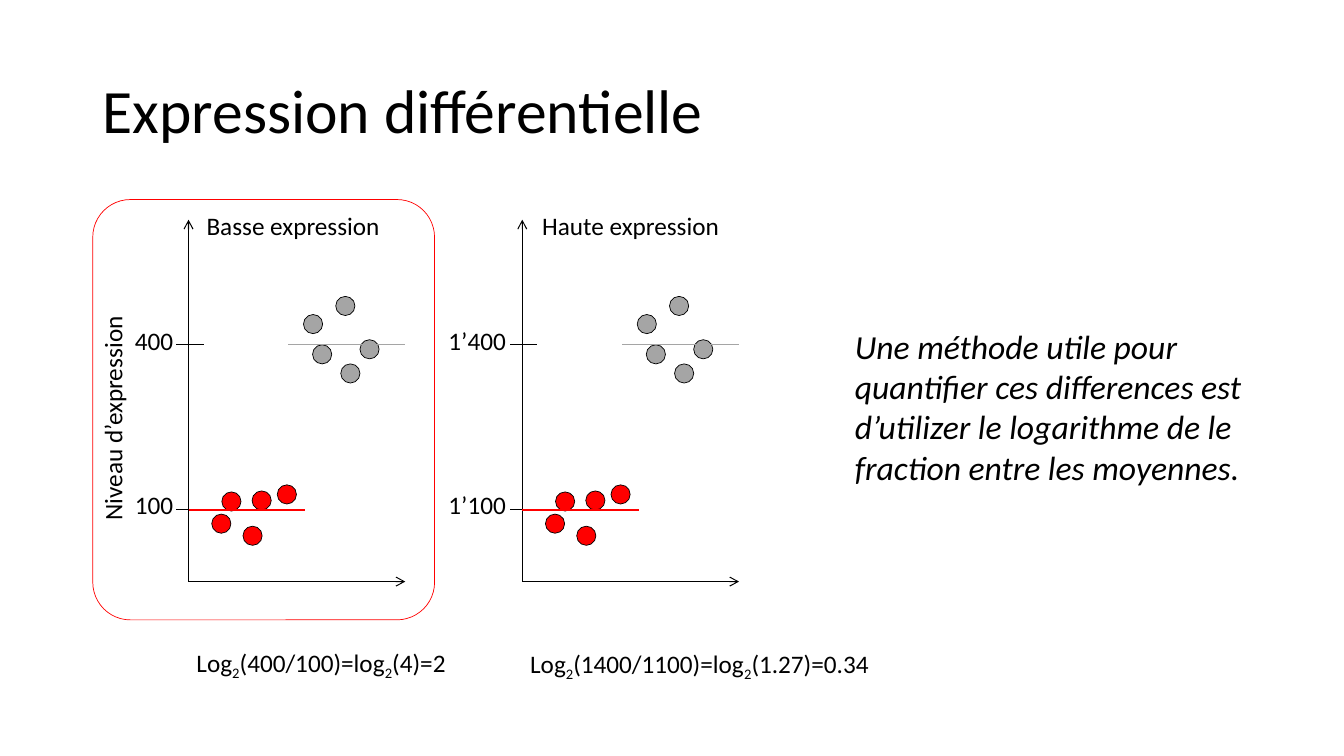
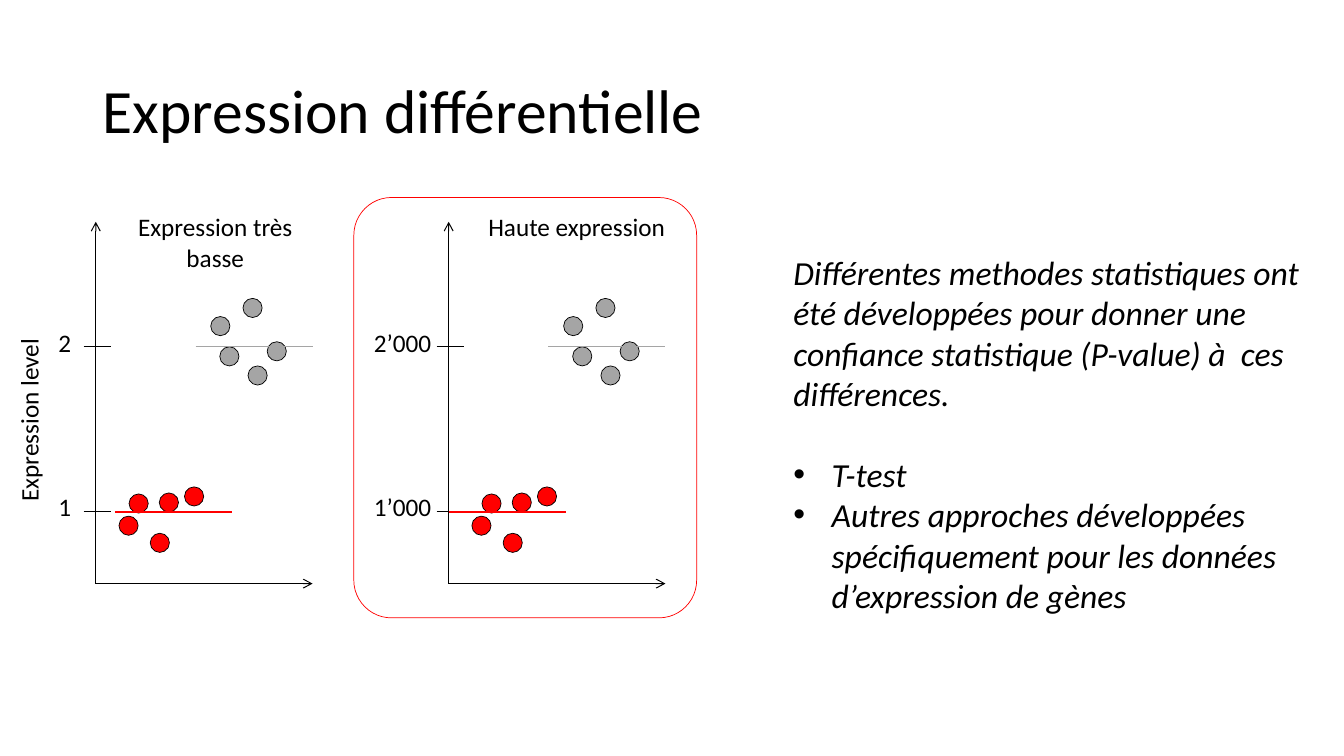
from dataclasses import dataclass

from lxml import etree
from pptx import Presentation
from pptx.dml.color import RGBColor
from pptx.enum.shapes import MSO_CONNECTOR, MSO_SHAPE
from pptx.enum.text import MSO_ANCHOR, MSO_AUTO_SIZE, PP_ALIGN
from pptx.oxml.ns import qn
from pptx.shapes.autoshape import Shape
from pptx.slide import Slide
from pptx.text.text import _Paragraph
from pptx.util import Inches, Pt

STRAIGHT = MSO_CONNECTOR.STRAIGHT
ELLIPSE = MSO_SHAPE.OVAL
ROUNDED = MSO_SHAPE.ROUNDED_RECTANGLE
MIDDLE = MSO_ANCHOR.MIDDLE
FIT_SHAPE = MSO_AUTO_SIZE.SHAPE_TO_FIT_TEXT
LEFT, CENTER = PP_ALIGN.LEFT, PP_ALIGN.CENTER

COLORS = {"text": "000000", "low": "FF0000", "high": "A5A5A5"}
TITLE_FORMAT = {"name": "Calibri", "size": Pt(44)}
LABEL_FORMAT = {"name": "Calibri", "size": Pt(18)}
BODY_FORMAT = {"name": "Calibri", "size": Pt(24), "italic": True}

TITLE = "Expression différentielle"
AXIS_WIDTH, AXIS_HEIGHT = 2.15, 3.59
LINE_HEIGHT = 0.4
DOT_SIZE = 0.19
MEAN_LENGTH = 1.16
HIGH_LEVEL, LOW_LEVEL, LOW_MEAN = 2.35, 0.72, 0.71
LOW_DOTS = [(0.23, 0.67), (0.33, 0.89), (0.63, 0.9), (0.88, 0.96)]
LOWEST_DOT_X = 0.54
HIGH_DOTS = [(1.14, 2.65), (1.23, 2.35), (1.46, 2.83), (1.51, 2.16), (1.7, 2.4)]


@dataclass(frozen=True)
class Box:
    left: float
    top: float
    width: float
    height: float = LINE_HEIGHT


@dataclass(frozen=True)
class Plot:
    left: float
    caption: str
    caption_box: Box
    high_label: str
    low_label: str
    label_left: float
    low_mean_shift: float = 0


@dataclass(frozen=True)
class Formula:
    pieces: tuple[str, ...]
    box: Box


@dataclass(frozen=True)
class Comparison:
    bottom: float
    lowest_dot: float
    axis_title: str
    axis_title_box: Box
    plots: tuple[Plot, ...]
    frame: Box
    message: str
    message_box: Box
    bullets: tuple[str, ...] = ()
    formulas: tuple[Formula, ...] = ()


COMPARISONS = [
    Comparison(
        bottom=5.77,
        lowest_dot=0.55,
        axis_title="Niveau d’expression",
        axis_title_box=Box(-0.07, 3.95, 2.37),
        plots=(
            Plot(1.87, "Basse expression", Box(1.95, 2.04, 2.35), "400", "100", 1.24),
            Plot(5.18, "Haute expression", Box(5.28, 2.04, 2.53), "1’400", "1’100", 4.35),
        ),
        frame=Box(0.92, 1.98, 3.39, 4.17),
        message="Une méthode utile pour quantifier ces differences est "
        "d’utilizer le logarithme de le fraction entre les moyennes.",
        message_box=Box(8.38, 3.18, 4.67, 1.72),
        formulas=(
            Formula(("Log", "2", "(400/100)=log", "2", "(4)=2"), Box(1.85, 6.37, 2.89)),
            Formula(("Log", "2", "(1400/1100)=log", "2", "(1.27)=0.34"), Box(5.16, 6.38, 3.92)),
        ),
    ),
    Comparison(
        bottom=5.79,
        lowest_dot=0.5,
        axis_title="Expression level",
        axis_title_box=Box(-0.9, 3.97, 2.37),
        plots=(
            Plot(0.95, "Expression très basse", Box(1.18, 2.05, 1.91, 0.71), "2", "1", 0.48, 0.19),
            Plot(4.45, "Haute expression", Box(4.67, 2.05, 2.1), "2’000", "1’000", 3.61),
        ),
        frame=Box(3.51, 1.96, 3.4, 4.17),
        message="Différentes methodes statistiques ont été développées pour donner "
        "une confiance statistique (P-value) à  ces différences.",
        message_box=Box(7.77, 2.45, 5.28, 3.74),
        bullets=(
            "T-test",
            "Autres approches développées spécifiquement pour les données d’expression de gènes",
        ),
    ),
]


def color(name: str) -> RGBColor:
    return RGBColor.from_string(COLORS[name])


def add_run(paragraph: _Paragraph, text: str, font_format: dict, subscript: bool = False) -> None:
    run = paragraph.add_run()
    run.text = text
    for attribute, value in font_format.items():
        setattr(run.font, attribute, value)
    run.font.color.rgb = color("text")
    if subscript:
        run.font._element.set("baseline", "-25000")


def add_text(slide: Slide, box: Box, text: str, font_format: dict, alignment: PP_ALIGN = LEFT) -> Shape:
    shape = slide.shapes.add_textbox(Inches(box.left), Inches(box.top), Inches(box.width), Inches(box.height))
    shape.text_frame.word_wrap = True
    shape.text_frame.auto_size = FIT_SHAPE
    paragraph = shape.text_frame.paragraphs[0]
    paragraph.alignment = alignment
    if text:
        add_run(paragraph, text, font_format)
    return shape


def add_line(slide: Slide, start: tuple[float, float], end: tuple[float, float],
             color_name: str = "text", width: float = 0.75, arrow: bool = False) -> None:
    connector = slide.shapes.add_connector(STRAIGHT, *(Inches(value) for value in start + end))
    connector.line.color.rgb = color(color_name)
    connector.line.width = Pt(width)
    if arrow:
        etree.SubElement(connector.line._get_or_add_ln(), qn("a:tailEnd"), type="arrow")
    etree.SubElement(connector._element.spPr, qn("a:effectLst"))


def add_outline(slide: Slide, kind: MSO_SHAPE, box: Box, line_color: str) -> Shape:
    shape = slide.shapes.add_shape(kind, Inches(box.left), Inches(box.top), Inches(box.width), Inches(box.height))
    shape.shadow.inherit = False
    shape.fill.background()
    shape.line.color.rgb = color(line_color)
    shape.line.width = Pt(0.5)
    return shape


def add_dots(slide: Slide, left: float, bottom: float, dots: list[tuple[float, float]], color_name: str) -> None:
    for across, up in dots:
        dot = add_outline(slide, ELLIPSE, Box(left + across, bottom - up, DOT_SIZE, DOT_SIZE), "text")
        dot.fill.solid()
        dot.fill.fore_color.rgb = color(color_name)


def add_plot(slide: Slide, plot: Plot, bottom: float, lowest_dot: float) -> None:
    left, right = plot.left, plot.left + AXIS_WIDTH
    for end in ((left, bottom - AXIS_HEIGHT), (right, bottom)):
        add_line(slide, (left, bottom), end, arrow=True)
    add_dots(slide, left, bottom, LOW_DOTS + [(LOWEST_DOT_X, lowest_dot)], "low")
    add_dots(slide, left, bottom, HIGH_DOTS, "high")
    for label, level in ((plot.high_label, HIGH_LEVEL), (plot.low_label, LOW_LEVEL)):
        height = bottom - level
        add_line(slide, (left - 0.12, height), (left + 0.15, height))
        add_text(slide, Box(plot.label_left, height - 0.24, 1), label, LABEL_FORMAT)
    means = (
        (right - MEAN_LENGTH, HIGH_LEVEL, "high"),
        (left + plot.low_mean_shift, LOW_MEAN, "low"),
    )
    for start, level, color_name in means:
        height = bottom - level
        add_line(slide, (start, height), (start + MEAN_LENGTH, height), color_name, 1)
    caption_alignment = CENTER if plot.caption_box.top > 2.04 else LEFT
    add_text(slide, plot.caption_box, plot.caption, LABEL_FORMAT, caption_alignment)


def add_formula(slide: Slide, formula: Formula) -> None:
    paragraph = add_text(slide, formula.box, "", LABEL_FORMAT).text_frame.paragraphs[0]
    for index, piece in enumerate(formula.pieces):
        add_run(paragraph, piece, LABEL_FORMAT, subscript=index % 2 == 1)


def add_message(slide: Slide, comparison: Comparison) -> None:
    frame = add_text(slide, comparison.message_box, comparison.message, BODY_FORMAT).text_frame
    for index, text in enumerate(comparison.bullets):
        paragraph = frame.add_paragraph()
        add_run(paragraph, text, BODY_FORMAT)
        paragraph.space_before = Pt(0 if index else 29)
        properties = paragraph._p.get_or_add_pPr()
        properties.set("marL", str(Inches(0.38)))
        properties.set("indent", str(-Inches(0.38)))
        etree.SubElement(properties, qn("a:buFont"), typeface="Arial")
        etree.SubElement(properties, qn("a:buChar"), char="•")


def add_title(slide: Slide) -> None:
    frame = add_text(slide, Box(0.92, 0.4, 11.5, 1.45), TITLE, TITLE_FORMAT).text_frame
    frame.auto_size = MSO_AUTO_SIZE.NONE
    frame.vertical_anchor = MIDDLE
    frame.paragraphs[0].line_spacing = 0.9


def add_comparison(presentation: Presentation, comparison: Comparison) -> None:
    slide = presentation.slides.add_slide(presentation.slide_layouts[6])
    add_title(slide)
    for plot in comparison.plots:
        add_plot(slide, plot, comparison.bottom, comparison.lowest_dot)
    axis_title = add_text(slide, comparison.axis_title_box, comparison.axis_title, LABEL_FORMAT, CENTER)
    axis_title.rotation = 270
    add_message(slide, comparison)
    for formula in comparison.formulas:
        add_formula(slide, formula)
    add_outline(slide, ROUNDED, comparison.frame, "low").adjustments[0] = 0.11


def main() -> None:
    presentation = Presentation()
    presentation.slide_width = Inches(13.33)
    presentation.slide_height = Inches(7.5)
    for comparison in COMPARISONS:
        add_comparison(presentation, comparison)
    presentation.save("out.pptx")


if __name__ == "__main__":
    main()
